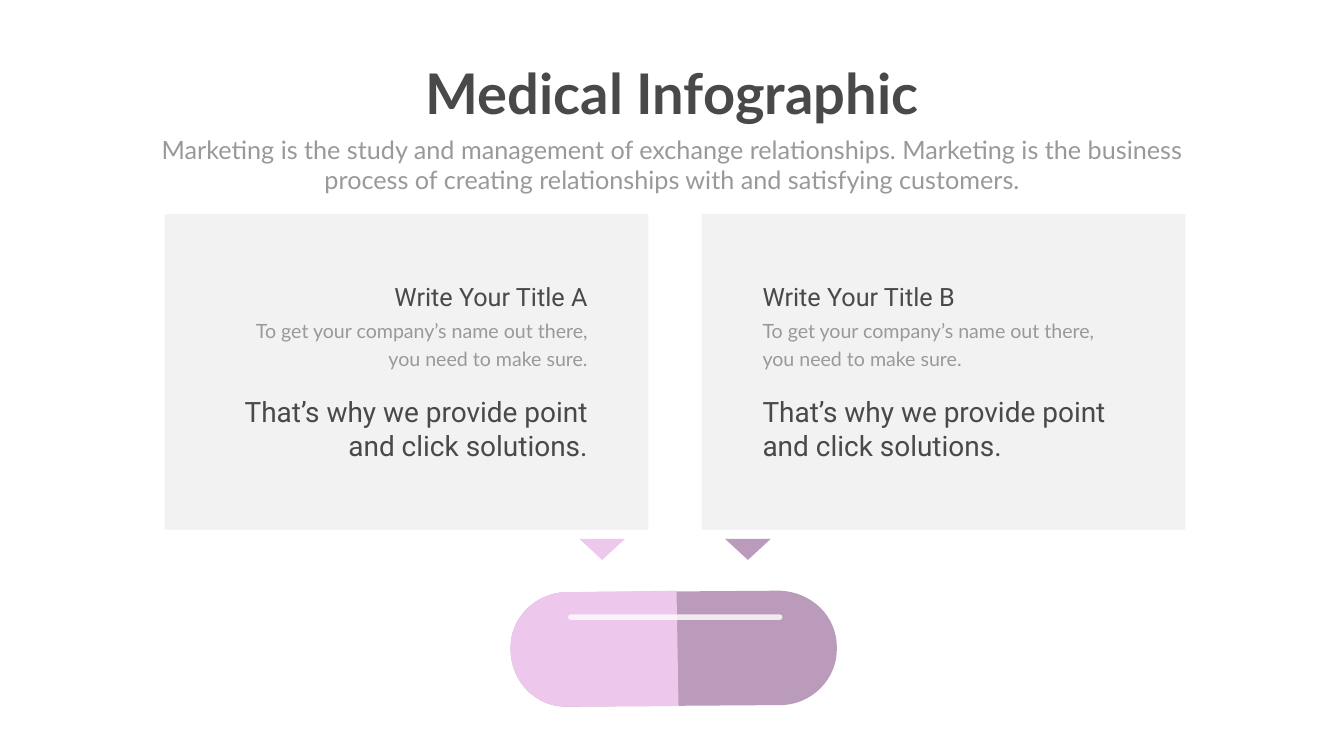
import math

import lxml.etree
import pptx
import pptx.dml.color
import pptx.enum.shapes
import pptx.enum.text
import pptx.oxml.ns
import pptx.util

Pt = pptx.util.Pt
RGBColor = pptx.dml.color.RGBColor
SHAPES = pptx.enum.shapes.MSO_SHAPE
ALIGN = pptx.enum.text.PP_ALIGN
qualified = pptx.oxml.ns.qn

DARK = RGBColor(0x49, 0x49, 0x49)
GRAY = RGBColor(0x99, 0x99, 0x99)
PANEL = RGBColor(0x80, 0x80, 0x80)
WHITE = RGBColor(0xFF, 0xFF, 0xFF)
PINK = RGBColor(0xEE, 0xC7, 0xEC)
MAUVE = RGBColor(0xBA, 0x9B, 0xBC)

HEADING = {"name": "Lato", "size": Pt(80), "bold": True}
SUBTITLE = {"name": "Lato", "size": Pt(36)}
CARD_TITLE = {"name": "Roboto", "size": Pt(36)}
CARD_BODY = {"name": "Lato", "size": Pt(28)}
CARD_POINT = {"name": "Roboto", "size": Pt(40)}

CARD_WIDTH = 691.2
CARD_PADDING = 79.92
COLUMN_WIDTH = 531.36
CARD_TITLE_WIDTH = 411.84

PILL_TILT = 20.1
LEFT_CAP = [(810, 1009.44), (766.8, 1010.88), (728.64, 974.16), (729.36, 926.64),
            (727.92, 884.16), (764.64, 845.28), (811.44, 846)]
RIGHT_CAP = [(1114.56, 843.84), (1158.48, 846), (1195.92, 879.12), (1195.2, 926.64),
             (1195.92, 969.12), (1159.92, 1008), (1112.4, 1007.28)]
SEAM = [(966.24, 843.84), (969.12, 1008.72)]


def paint(shape, color, opacity=100):
    shape.shadow.inherit = False
    shape.fill.solid()
    shape.fill.fore_color.rgb = color
    shape.line.fill.background()
    if opacity < 100:
        element = shape.fill._xPr.find(".//" + qualified("a:srgbClr"))
        alpha = lxml.etree.SubElement(element, qualified("a:alpha"))
        alpha.set("val", str(opacity * 1000))


def add_block(slide, kind, left, top, width, height, color, opacity=100):
    shape = slide.shapes.add_shape(kind, Pt(left), Pt(top), Pt(width), Pt(height))
    paint(shape, color, opacity)
    return shape


def add_text(slide, text, left, top, width, height, font_values, color, alignment,
             line_spacing=None, wrap=True):
    box = slide.shapes.add_textbox(Pt(left), Pt(top), Pt(width), Pt(height))
    frame_values = {"word_wrap": wrap,
                    "auto_size": pptx.enum.text.MSO_AUTO_SIZE.SHAPE_TO_FIT_TEXT}
    for attribute, value in frame_values.items():
        setattr(box.text_frame, attribute, value)
    paragraph = box.text_frame.paragraphs[0]
    paragraph.alignment = alignment
    paragraph.line_spacing = line_spacing
    run = paragraph.add_run()
    run.text = text
    for attribute, value in font_values.items():
        setattr(run.font, attribute, value)
    run.font.color.rgb = color


def add_card(slide, left, title, alignment):
    add_block(slide, SHAPES.RECTANGLE, left, 306, CARD_WIDTH, 450.72, PANEL, 10)
    column = left + CARD_PADDING
    title_left = column
    if alignment == ALIGN.RIGHT:
        title_left += COLUMN_WIDTH - CARD_TITLE_WIDTH
    add_text(slide, title, title_left, 397.8, CARD_TITLE_WIDTH, 51.12,
             CARD_TITLE, DARK, alignment)
    add_text(slide, "To get your company’s name out there, you need to make sure.",
             column, 444.24, COLUMN_WIDTH, 85.68, CARD_BODY, GRAY, alignment, Pt(40.8))
    add_text(slide, "That’s why we provide point and click solutions.",
             column, 560.5, COLUMN_WIDTH, 104.4, CARD_POINT, DARK, alignment)


def add_pointer(slide, left, color):
    pointer = add_block(slide, SHAPES.ISOSCELES_TRIANGLE, left, 769.68, 65.52, 30.24, color)
    pointer.rotation = 180


def rotate(x, y, degrees):
    cosine, sine = math.cos(math.radians(degrees)), math.sin(math.radians(degrees))
    return x * cosine - y * sine, x * sine + y * cosine


def bend(lines):
    curve = lxml.etree.Element(qualified("a:cubicBezTo"))
    lines[0].addprevious(curve)
    for line in lines:
        curve.append(line[0])
        line.getparent().remove(line)


def add_tilted_outline(slide, points, curve_starts, color):
    corners = [rotate(Pt(x), Pt(y), PILL_TILT) for x, y in points]
    builder = slide.shapes.build_freeform(*corners[0])
    builder.add_line_segments(corners[1:], close=True)
    shape = builder.convert_to_shape()
    lines = list(shape._element.iter(qualified("a:lnTo")))
    for start in curve_starts:
        bend(lines[start:start + 3])
    center_x, center_y = rotate(shape.left + shape.width / 2,
                                shape.top + shape.height / 2, -PILL_TILT)
    shape.left = round(center_x - shape.width / 2)
    shape.top = round(center_y - shape.height / 2)
    shape.rotation = 360 - PILL_TILT
    paint(shape, color)


def add_pill(slide):
    add_tilted_outline(slide, LEFT_CAP + RIGHT_CAP, (0, 3, 7, 10), MAUVE)
    add_tilted_outline(slide, LEFT_CAP + SEAM, (0, 3), PINK)
    shine = add_block(slide, SHAPES.ROUNDED_RECTANGLE, 811.44, 877.68, 306, 7.92, WHITE, 80)
    shine.adjustments[0] = 0.5


def main():
    presentation = pptx.Presentation()
    presentation.slide_width = Pt(1919.52)
    presentation.slide_height = Pt(1080)
    slide = presentation.slides.add_slide(presentation.slide_layouts[6])

    add_card(slide, 1002, "Write Your Title B", ALIGN.LEFT)
    add_card(slide, 235, "Write Your Title A", ALIGN.RIGHT)
    add_pointer(slide, 827.28, PINK)
    add_pointer(slide, 1035.36, MAUVE)
    add_pill(slide)
    add_text(slide, "Medical Infographic", 593.28, 80.64, 733.68, 104.4,
             HEADING, DARK, ALIGN.CENTER, wrap=False)
    add_text(slide, "Marketing is the study and management of exchange relationships. "
             "Marketing is the business process of creating relationships with and "
             "satisfying customers.", 210.24, 187.92, 1499.04, 94.32,
             SUBTITLE, GRAY, ALIGN.CENTER)

    presentation.save("out.pptx")


if __name__ == "__main__":
    main()
